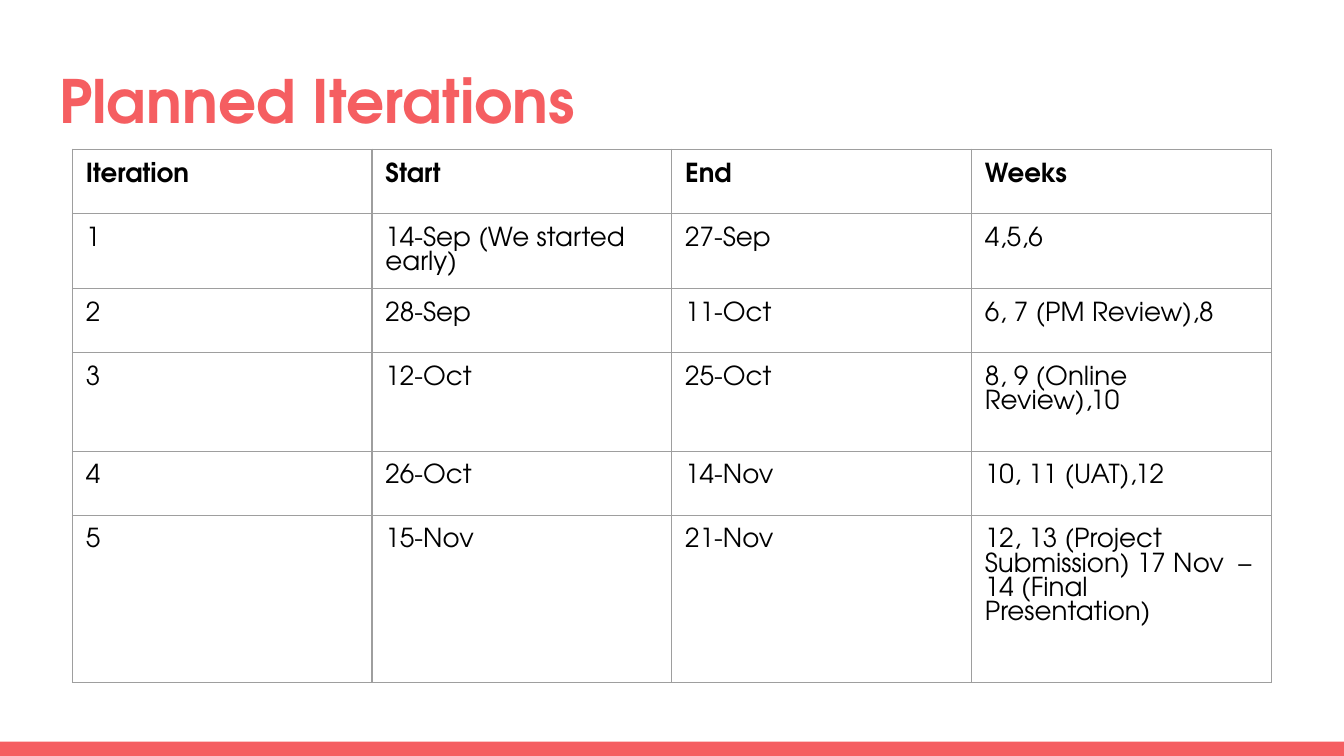
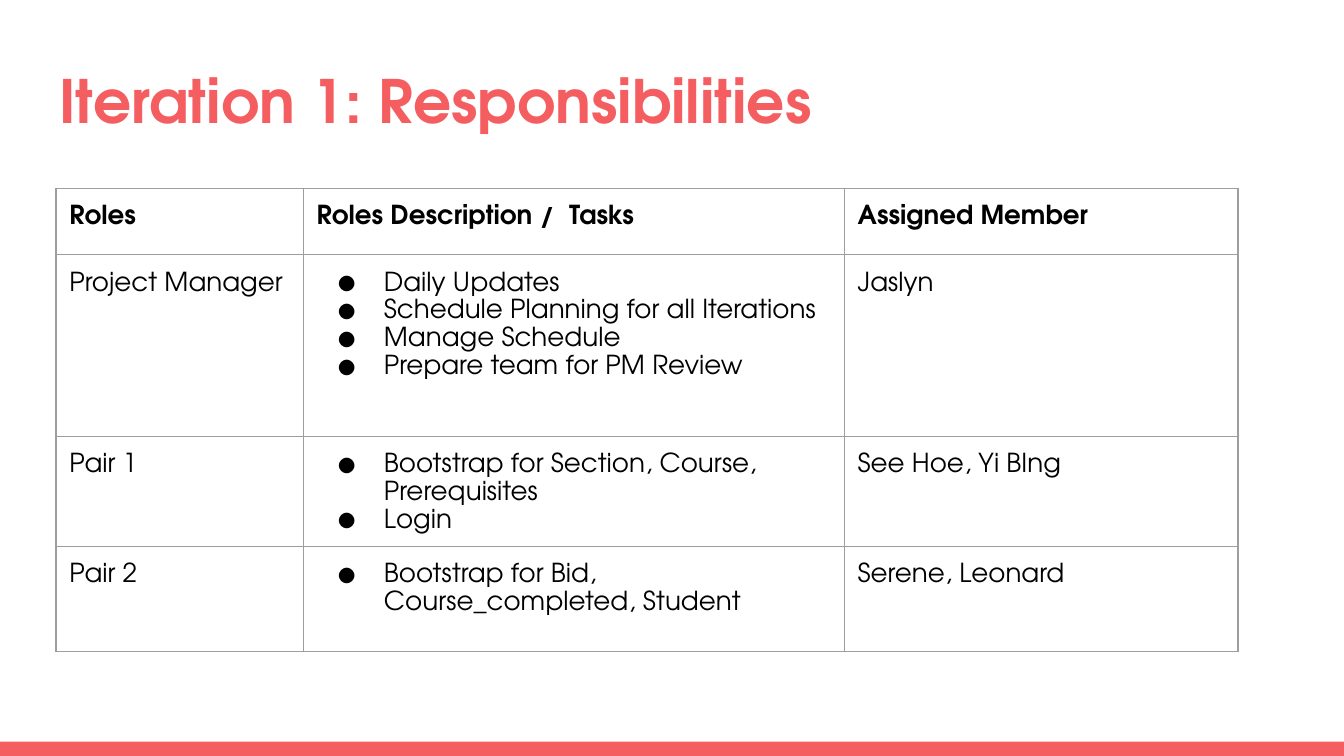
from lxml.etree import SubElement
from pptx import Presentation
from pptx.dml.color import RGBColor
from pptx.enum.shapes import MSO_SHAPE as Preset
from pptx.enum.text import MSO_ANCHOR as Anchor, MSO_AUTO_SIZE as AutoSize, PP_ALIGN as Align
from pptx.oxml.ns import qn
from pptx.util import Pt

CORAL, BLACK, GREY = "F55E61", "000000", "9E9E9E"
FONT = "TeX Gyre Adventor"
SLIDE_W, SLIDE_H = 720, 405
TITLE_BOX = (24.5, 31, 671, 49)
BAND_BOX = (0, 397.25, SLIDE_W, 7.75)
INSET = 7.2
MARGINS = {f"margin_{side}": Pt(INSET) for side in ("left", "top", "right", "bottom")}

ITERATIONS = [
    ["Iteration", "Start", "End", "Weeks"],
    ["1", "14-Sep (We started early)", "27-Sep", "4,5,6"],
    ["2", "28-Sep", "11-Oct", "6, 7 (PM Review),8"],
    ["3", "12-Oct", "25-Oct", "8, 9 (Online Review),10"],
    ["4", "26-Oct", "14-Nov", "10, 11 (UAT),12"],
    ["5", "15-Nov", "21-Nov",
     "12, 13 (Project Submission) 17 Nov  – 14 (Final Presentation)"],
]
RESPONSIBILITIES = [
    ["Roles", "Roles Description /  Tasks", "Assigned Member"],
    ["Project Manager",
     ["Daily Updates", "Schedule Planning for all Iterations",
      "Manage Schedule", "Prepare team for PM Review"],
     "Jaslyn"],
    ["Pair 1", ["Bootstrap for Section, Course, Prerequisites", "Login"], "See Hoe, Yi BIng"],
    ["Pair 2", ["Bootstrap for Bid, Course_completed, Student"], "Serene, Leonard"],
]


def paint(color_format, hex_color):
    color_format.rgb = RGBColor.from_string(hex_color)


def apply(target, values):
    for name, value in values.items():
        setattr(target, name, value)


def style_font(font, size, color, bold):
    apply(font, {"name": FONT, "size": Pt(size), "bold": bold})
    paint(font.color, color)


def add_bullet(paragraph):
    props = paragraph._p.get_or_add_pPr()
    props.set("marL", str(Pt(36)))
    props.set("indent", str(Pt(-25.2)))
    color = SubElement(props, qn("a:buClr"))
    SubElement(color, qn("a:srgbClr"), val=BLACK)
    SubElement(props, qn("a:buFont"), typeface=FONT)
    SubElement(props, qn("a:buChar"), char="●")


def add_borders(cell):
    props = cell._tc.get_or_add_tcPr()
    for edge in ("lnL", "lnR", "lnT", "lnB"):
        line = SubElement(props, qn(f"a:{edge}"), w=str(Pt(0.75)))
        fill = SubElement(line, qn("a:solidFill"))
        SubElement(fill, qn("a:srgbClr"), val=GREY)


def fill_cell(cell, content, bold, spacing):
    apply(cell, MARGINS)
    add_borders(cell)
    cell.fill.background()
    bulleted = isinstance(content, list)
    lines = content if bulleted else [content]
    for index, line in enumerate(lines):
        paragraph = cell.text_frame.add_paragraph() if index else cell.text_frame.paragraphs[0]
        paragraph.line_spacing = spacing
        if bulleted:
            add_bullet(paragraph)
        run = paragraph.add_run()
        run.text = line
        style_font(run.font, 14, BLACK, bold)


def add_grid(slide, left, top, widths, heights, rows, spacing=1.0):
    frame = slide.shapes.add_table(len(rows), len(widths), Pt(left), Pt(top),
                                   Pt(sum(widths)), Pt(sum(heights)))
    table = frame.table
    apply(table, {"first_row": False, "horz_banding": False})
    for column, width in zip(table.columns, widths):
        column.width = Pt(width)
    for r, (row, height) in enumerate(zip(rows, heights)):
        table.rows[r].height = Pt(height)
        for c, content in enumerate(row):
            fill_cell(table.cell(r, c), content, r == 0, spacing)


def add_band(slide, left, top, width, height):
    band = slide.shapes.add_shape(Preset.RECTANGLE, Pt(left), Pt(top), Pt(width), Pt(height))
    band.shadow.inherit = False
    band.fill.solid()
    paint(band.fill.fore_color, CORAL)
    band.line.fill.background()


def set_title(slide, heading, left, top, width, height):
    title = slide.shapes.title
    apply(title, {"left": Pt(left), "top": Pt(top), "width": Pt(width), "height": Pt(height)})
    frame = title.text_frame
    apply(frame, {**MARGINS, "word_wrap": True, "auto_size": AutoSize.NONE,
                  "vertical_anchor": Anchor.BOTTOM})
    paragraph = frame.paragraphs[0]
    paragraph.alignment = Align.LEFT
    run = paragraph.add_run()
    run.text = heading
    style_font(run.font, 32, CORAL, True)


def add_table_slide(deck, heading, **grid):
    slide = deck.slides.add_slide(deck.slide_layouts[5])
    add_band(slide, *BAND_BOX)
    set_title(slide, heading, *TITLE_BOX)
    add_grid(slide, **grid)


def main():
    deck = Presentation()
    apply(deck, {"slide_width": Pt(SLIDE_W), "slide_height": Pt(SLIDE_H)})
    add_table_slide(deck, "Planned Iterations", left=38.75, top=80,
                    widths=[160.56] * 4, heights=[34.3, 34.3, 34.3, 52.8, 34.3, 89.5],
                    rows=ITERATIONS)
    add_table_slide(deck, "Iteration 1: Responsibilities", left=30, top=100.9,
                    widths=[132.5, 289.8, 211], heights=[35.6, 97.2, 56.2, 56.2],
                    rows=RESPONSIBILITIES, spacing=1.15)
    deck.save("out.pptx")


if __name__ == "__main__":
    main()
